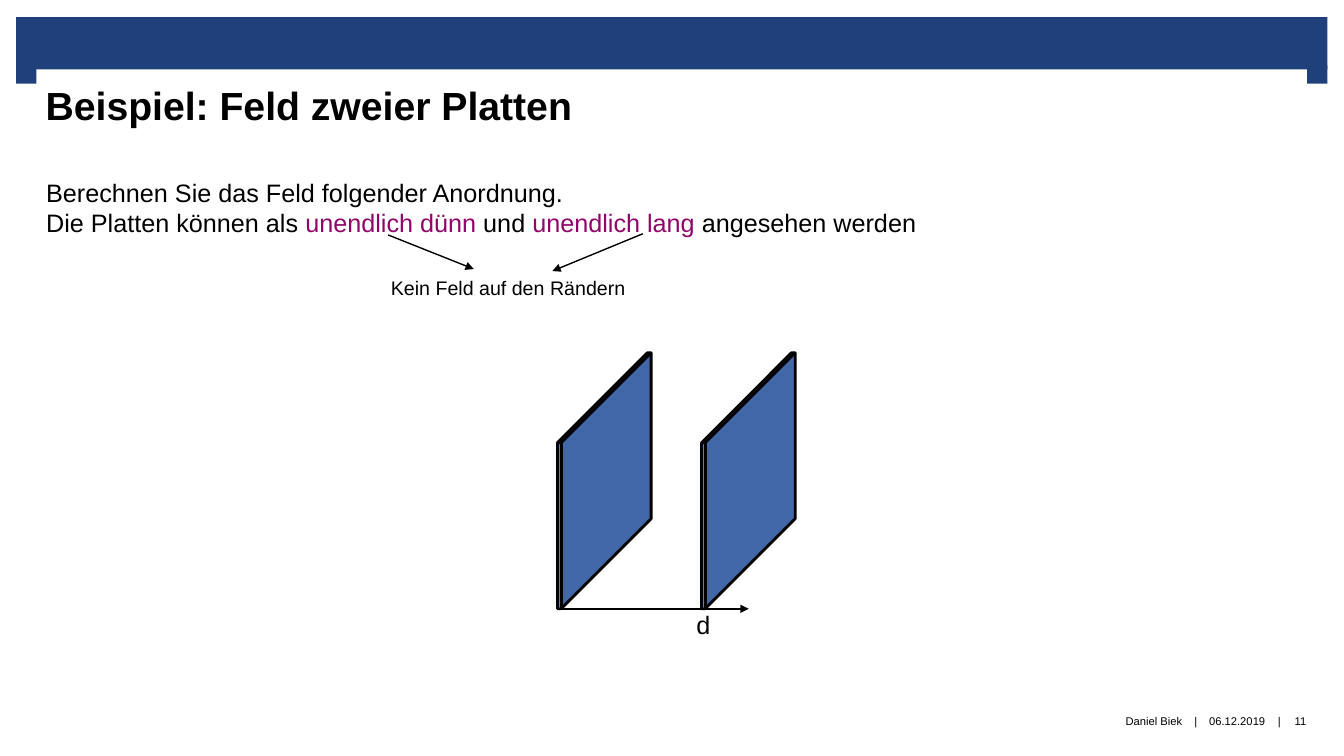
from dataclasses import dataclass

from lxml import etree
from pptx import Presentation
from pptx.dml.color import RGBColor
from pptx.enum.shapes import MSO_CONNECTOR, MSO_SHAPE
from pptx.enum.text import MSO_ANCHOR, MSO_AUTO_SIZE, PP_ALIGN
from pptx.oxml.ns import qn
from pptx.util import Cm, Pt

RECT, CUBE = MSO_SHAPE.RECTANGLE, MSO_SHAPE.CUBE
STRAIGHT = MSO_CONNECTOR.STRAIGHT
TOP, MIDDLE = MSO_ANCHOR.TOP, MSO_ANCHOR.MIDDLE
LEFT, CENTER, RIGHT = PP_ALIGN.LEFT, PP_ALIGN.CENTER, PP_ALIGN.RIGHT
NO_FIT = MSO_AUTO_SIZE.NONE


@dataclass(frozen=True)
class Theme:
    font: str = "Arial"
    text: RGBColor = RGBColor(0x00, 0x00, 0x00)
    band: RGBColor = RGBColor(0x1F, 0x40, 0x7A)
    plate: RGBColor = RGBColor(0x54, 0x82, 0xD4)
    accent: RGBColor = RGBColor(0x91, 0x05, 0x6A)
    title_size: int = 28
    body_size: int = 18
    note_size: int = 14
    footer_size: int = 8


THEME = Theme()


def place(sp, box):
    sp.left, sp.top, sp.width, sp.height = (Cm(v) for v in box)


def write(sp, lines, size, align=LEFT, bold=False, **frame):
    """Fill sp with lines, each a list of (text, colour) runs."""
    tf = sp.text_frame
    fmt = {"word_wrap": False, "auto_size": NO_FIT, "vertical_anchor": TOP}
    for name, value in {**fmt, **frame}.items():
        setattr(tf, name, value)
    p = tf.paragraphs[0]
    para = {"alignment": align, "space_before": Pt(0), "line_spacing": 1.0}
    for name, value in para.items():
        setattr(p, name, value)
    for i, line in enumerate(lines):
        if i:
            p.add_line_break()
        for text, color in line:
            r = p.add_run()
            r.text = text
            font = {"name": THEME.font, "size": Pt(size), "bold": bold}
            for name, value in font.items():
                setattr(r.font, name, value)
            r.font.color.rgb = color
    return p


def add_text(slide, box, text, size, align=LEFT, **frame):
    sp = slide.shapes.add_textbox(*(Cm(v) for v in box))
    write(sp, [[(text, THEME.text)]], size, align, **frame)


def add_block(slide, kind, box, fill, line_width=None):
    sp = slide.shapes.add_shape(kind, *(Cm(v) for v in box))
    sp.shadow.inherit = False
    sp.fill.solid()
    sp.fill.fore_color.rgb = fill
    if line_width:
        sp.line.color.rgb = THEME.text
        sp.line.width = Pt(line_width)
    else:
        sp.line.fill.background()
    return sp


def add_arrow(slide, start, end, width):
    cn = slide.shapes.add_connector(STRAIGHT, *(Cm(v) for v in start + end))
    cn.line.color.rgb = THEME.text
    cn.line.width = Pt(width)
    sp_pr = cn._element.spPr
    etree.SubElement(sp_pr.find(qn("a:ln")), qn("a:tailEnd"), type="triangle")
    etree.SubElement(sp_pr, qn("a:effectLst"))


def header(slide, box):
    """Blue band with a short tab hanging from each end."""
    x, y, w, h = box
    tab_w, tab_h = 0.51, 0.46
    add_block(slide, RECT, (x, y, w, h), THEME.band)
    for tab_x in (x, x + w - tab_w):
        add_block(slide, RECT, (tab_x, y + h - 0.1, tab_w, tab_h), THEME.band)


def footer(slide, box):
    """Author, date and page number, divided by bars."""
    x, y, w, h = box
    parts = [
        ("Daniel Biek", 0, 12.88, RIGHT),
        ("|", 13.03, 0.38, CENTER),
        ("06.12.2019", 13.41, 1.7, CENTER),
        ("|", 15.13, 0.38, CENTER),
        ("11", w - 0.99, 0.99, CENTER),
    ]
    margins = dict.fromkeys(("margin_left", "margin_right", "margin_top", "margin_bottom"), 0)
    for text, dx, width, align in parts:
        add_text(slide, (x + dx, y, width, h), text, THEME.footer_size, align,
                 vertical_anchor=MIDDLE, **margins)


def title(slide, box):
    sp = slide.shapes.title
    place(sp, box)
    write(sp, [[("Beispiel: Feld zweier Platten", THEME.text)]], THEME.title_size,
          bold=True, word_wrap=True, margin_left=Cm(0.41), margin_right=Cm(0.41),
          margin_top=Cm(0.3), margin_bottom=0)


def task(slide, box):
    """Task text, with arrows from both key terms to the remark below."""
    x, y, w, h = box
    sp = slide.placeholders[1]
    place(sp, (x, y, w, h))
    p = write(sp, [
        [("Berechnen Sie das Feld folgender Anordnung.", THEME.text)],
        [("Die Platten können als ", THEME.text), ("unendlich dünn", THEME.accent),
         (" und ", THEME.text), ("unendlich lang", THEME.accent),
         (" angesehen werden", THEME.text)],
    ], THEME.body_size)
    p_pr = p._p.get_or_add_pPr()
    p_pr.set("marL", "0")
    p_pr.set("indent", "0")
    etree.SubElement(p_pr, qn("a:buNone"))

    add_arrow(slide, (x + 8.87, y + 1.58), (x + 11.03, y + 2.44), 1)
    add_arrow(slide, (x + 15.29, y + 1.55), (x + 13.01, y + 2.49), 1)
    add_text(slide, (x + 8.69, y + 2.49, 6.45, 0.86),
             "Kein Feld auf den Rändern", THEME.note_size)


def plates(slide, box):
    """Two thin parallel plates standing on the axis d."""
    x, y, w, h = box
    plate_w = 2.36
    for plate_x in (x, x + w - plate_w):
        sp = add_block(slide, CUBE, (plate_x, y, plate_w, h), THEME.plate, 2)
        sp.adjustments[0] = 0.961
    add_arrow(slide, (x, y + h), (x + 4.82, y + h), 1.5)
    add_text(slide, (x + 3.25, y + h - 0.1, 0.74, 0.86), "d", THEME.body_size)


def main():
    prs = Presentation()
    prs.slide_width, prs.slide_height = Cm(33.87), Cm(19.05)
    slide = prs.slides.add_slide(prs.slide_layouts[1])
    header(slide, (0.41, 0.43, 33.04, 1.32))
    title(slide, (0.74, 1.75, 26.67, 1.6))
    task(slide, (0.91, 4.34, 22.96, 1.8))
    plates(slide, (14.05, 8.89, 5.99, 6.45))
    footer(slide, (16.92, 17.53, 16.35, 1.3))
    prs.save("out.pptx")


if __name__ == "__main__":
    main()
